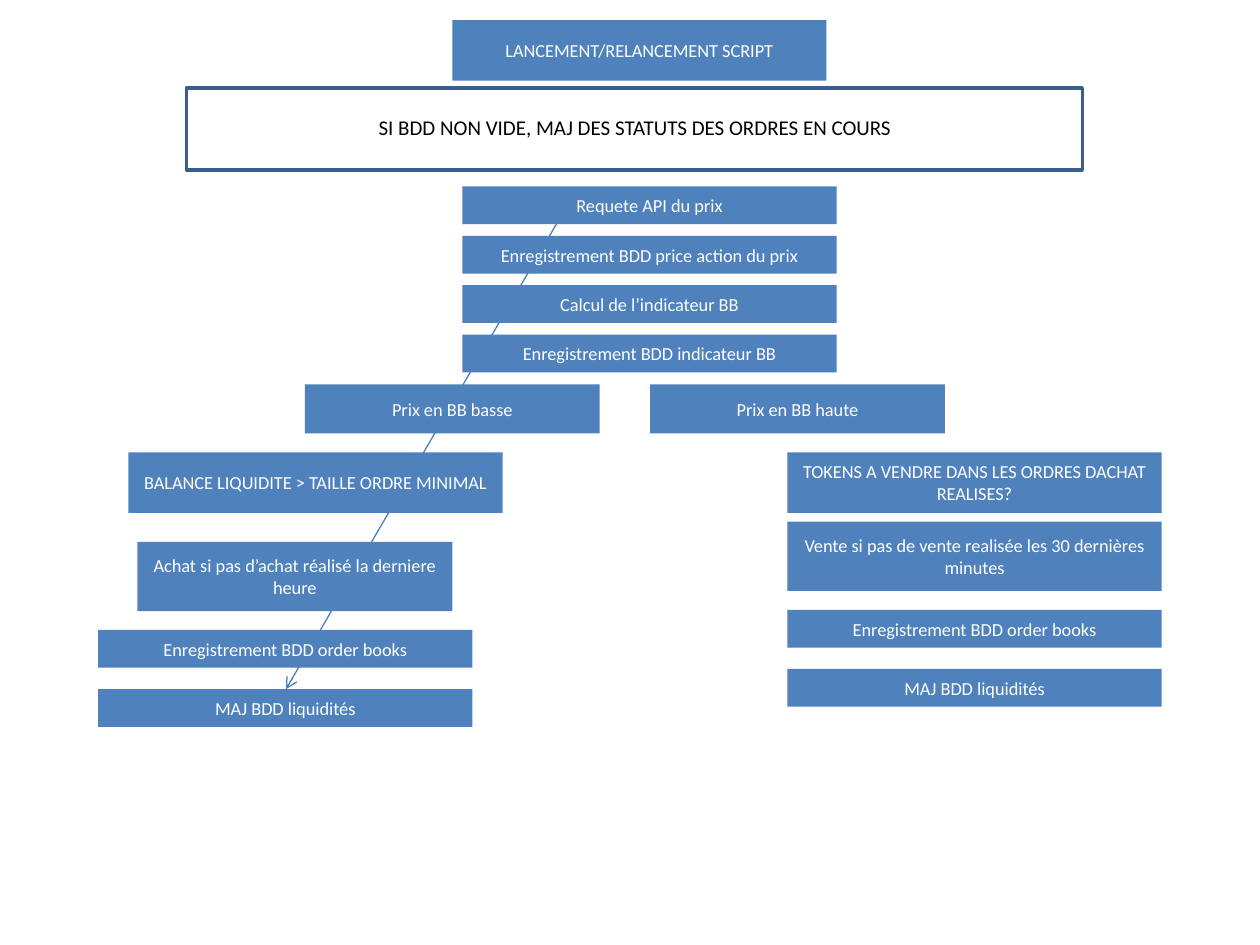
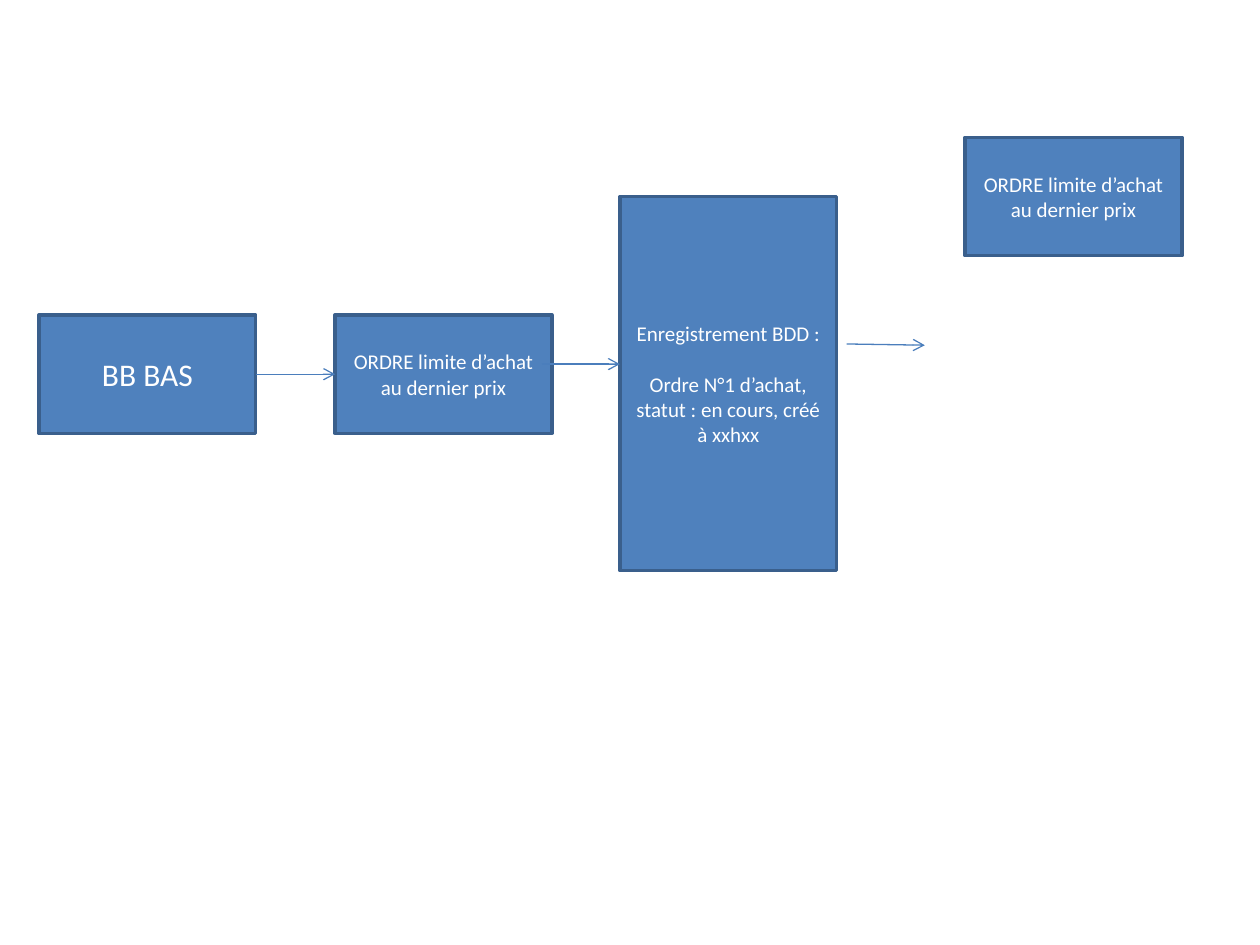
"""Build two flow slides describing a trading script and its buy orders."""
from lxml.etree import SubElement
from pptx import Presentation
from pptx.dml.color import RGBColor
from pptx.enum.shapes import MSO_CONNECTOR as Connector, MSO_SHAPE as Shape
from pptx.enum.text import MSO_ANCHOR as Anchor, PP_ALIGN as Align
from pptx.oxml.ns import qn
from pptx.util import Inches, Pt

COLORS = {"fill": "4F81BD", "border": "3A5F8C", "arrow": "4B7EBC", "light": "FFFFFF", "dark": "000000"}
FONT = "Calibri"
INSET = 0.08
STEP_WIDTH = 2.97
STEP_HEIGHT = 0.3

START = "LANCEMENT/RELANCEMENT SCRIPT"
BANNER = "SI BDD NON VIDE, MAJ DES STATUTS DES ORDRES EN COURS"
PRICE_STEPS = [
    "Requete API du prix",
    "Enregistrement BDD price action du prix",
    "Calcul de l’indicateur BB",
    "Enregistrement BDD indicateur BB",
]
BRANCHES = ["Prix en BB basse", "Prix en BB haute"]
CHECKS = [
    ("BALANCE LIQUIDITE > TAILLE ORDRE MINIMAL", 1.02),
    ("TOKENS A VENDRE DANS LES ORDRES DACHAT REALISES?", 6.25),
]
TRADES = [
    ("Achat si pas d’achat réalisé la derniere heure", 1.09, 4.3, 2.5),
    ("Vente si pas de vente realisée les 30 dernières minutes", 6.25, 4.14, STEP_WIDTH),
]
RECORDS = ["Enregistrement BDD order books", "MAJ BDD liquidités"]
RECORD_STARTS = [(0.78, 5.0), (6.25, 4.84)]
PRICE_ARROW = (4.45, 1.72, 2.27, 5.47)

LIMIT_ORDER = ["ORDRE limite d’achat au dernier prix"]
ORDER_RECORD = ["Enregistrement BDD :", "Ordre N°1 d’achat, statut : en cours, créé à xxhxx"]
ORDER_BOXES = [
    (["BB BAS"], 0.31, 2.5, 0.94, 18),
    (LIMIT_ORDER, 2.66, 2.5, 0.94, 12),
    (ORDER_RECORD, 4.92, 1.56, 2.97, 12),
    (LIMIT_ORDER, 7.66, 1.09, 0.94, 12),
]
ORDER_ARROWS = [(2.03, 2.97, 2.66, 2.97), (4.3, 2.89, 4.92, 2.89), (6.72, 2.73, 7.34, 2.74)]


def color(name):
    return RGBColor.from_string(COLORS[name])


def apply(target, formats):
    for name, value in formats.items():
        setattr(target, name, value)


def write(shape, texts, size, ink):
    frame = shape.text_frame
    margins = {f"margin_{side}": Inches(INSET) for side in ("left", "right")}
    apply(frame, {"word_wrap": True, "vertical_anchor": Anchor.MIDDLE, **margins})
    for index, text in enumerate(texts):
        para = frame.paragraphs[0] if index == 0 else frame.add_paragraph()
        gap = Pt(size * 1.22 if index else 0)
        apply(para, {"alignment": Align.CENTER, "space_before": gap})
        span = para.add_run()
        apply(span, {"text": text})
        apply(span.font, {"name": FONT, "size": Pt(size)})
        span.font.color.rgb = color(ink)


def add_box(page, texts, left, top, width, height, size=10.5, filled=True, border=False):
    box = page.shapes.add_shape(Shape.RECTANGLE, *map(Inches, (left, top, width, height)))
    box.shadow.inherit = False
    if filled:
        box.fill.solid()
        box.fill.fore_color.rgb = color("fill")
    else:
        box.fill.background()
    if border:
        box.line.color.rgb = color("border")
        box.line.width = Pt(2)
    else:
        box.line.fill.background()
    write(box, texts, size, "light")


def add_arrow(page, ends):
    arrow = page.shapes.add_connector(Connector.STRAIGHT, *map(Inches, ends))
    arrow.line.color.rgb = color("arrow")
    arrow.line.width = Pt(0.75)
    SubElement(arrow.line._get_or_add_ln(), qn("a:tailEnd"), type="arrow")
    SubElement(arrow._element.spPr, qn("a:effectLst"))


def build_script_page(page):
    add_arrow(page, PRICE_ARROW)
    add_box(page, [START], 3.59, 0.16, STEP_WIDTH, 0.48)
    label = page.shapes.add_textbox(*map(Inches, (1.8, 0.86, 6.48, 0.3)))
    write(label, [BANNER], 12, "dark")
    add_box(page, [], 1.48, 0.7, 7.11, 0.65, filled=False, border=True)
    for index, text in enumerate(PRICE_STEPS):
        add_box(page, [text], 3.67, 1.48 + index * 0.392, STEP_WIDTH, STEP_HEIGHT)
    for index, text in enumerate(BRANCHES):
        add_box(page, [text], 2.42 + index * 2.74, 3.05, 2.34, 0.39)
    for text, left in CHECKS:
        add_box(page, [text], left, 3.59, STEP_WIDTH, 0.48)
    for text, left, top, width in TRADES:
        add_box(page, [text], left, top, width, 0.55)
    for left, top in RECORD_STARTS:
        for index, text in enumerate(RECORDS):
            add_box(page, [text], left, top + index * 0.47, STEP_WIDTH, STEP_HEIGHT)


def build_order_page(page):
    for texts, left, top, height, size in ORDER_BOXES:
        add_box(page, texts, left, top, 1.72, height, size, border=True)
    for ends in ORDER_ARROWS:
        add_arrow(page, ends)


deck = Presentation()
apply(deck, {"slide_width": Inches(10), "slide_height": Inches(7.5)})
for build in (build_script_page, build_order_page):
    build(deck.slides.add_slide(deck.slide_layouts[6]))
deck.save("out.pptx")
